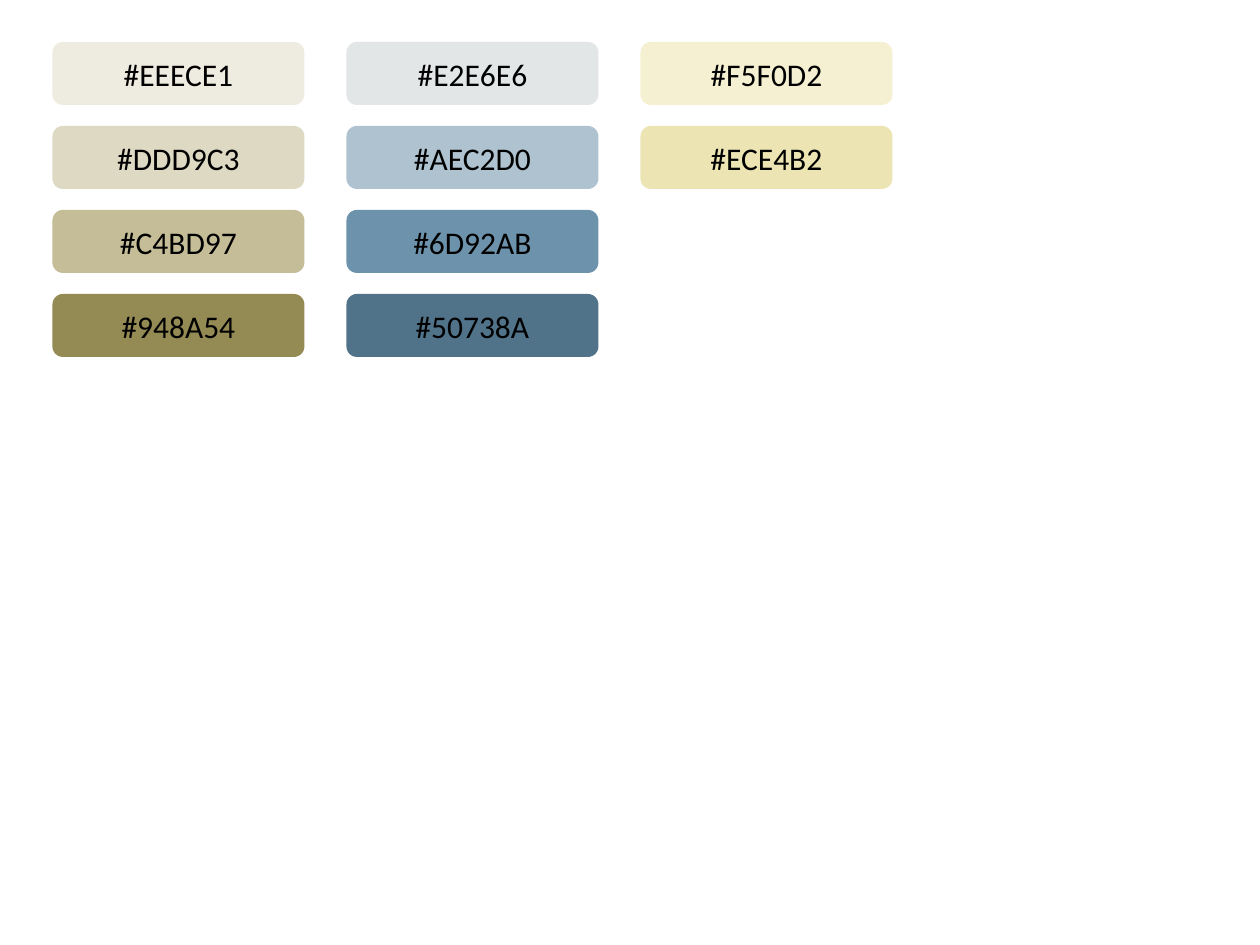
"""Build a colour palette slide with one labelled swatch per colour."""
import pptx
import pptx.dml.color
import pptx.enum.shapes
import pptx.enum.text
import pptx.util

Pt = pptx.util.Pt

PALETTE = [
    ["EEECE1", "DDD9C3", "C4BD97", "948A54"],
    ["E2E6E6", "AEC2D0", "6D92AB", "50738A"],
    ["F5F0D2", "ECE4B2"],
]
LEFT, TOP = 30, 24
WIDTH, HEIGHT = 144, 36
COLUMN_GAP, ROW_GAP = 24, 12
LABEL_FONT = {"name": "Calibri", "size": Pt(18)}


def set_color(color_format, hex_color):
    """Apply a hex colour to a fill or font colour."""
    color_format.rgb = pptx.dml.color.RGBColor.from_string(hex_color)


def add_swatch(slide, hex_color, column, row):
    """Add one rounded swatch at its grid position."""
    swatch = slide.shapes.add_shape(
        pptx.enum.shapes.MSO_SHAPE.ROUNDED_RECTANGLE,
        Pt(LEFT + column * (WIDTH + COLUMN_GAP)),
        Pt(TOP + row * (HEIGHT + ROW_GAP)),
        Pt(WIDTH),
        Pt(HEIGHT),
    )
    swatch.shadow.inherit = False
    swatch.fill.solid()
    set_color(swatch.fill.fore_color, hex_color)
    swatch.line.fill.background()
    swatch.text_frame.vertical_anchor = pptx.enum.text.MSO_ANCHOR.MIDDLE
    label = swatch.text_frame.paragraphs[0]
    label.alignment = pptx.enum.text.PP_ALIGN.CENTER
    code = label.add_run()
    code.text = f"#{hex_color}"
    for attribute, value in LABEL_FONT.items():
        setattr(code.font, attribute, value)
    set_color(code.font.color, "000000")


deck = pptx.Presentation()
deck.slide_width, deck.slide_height = Pt(720), Pt(540)
palette_slide = deck.slides.add_slide(deck.slide_layouts[6])
for column, shades in enumerate(PALETTE):
    for row, shade in enumerate(shades):
        add_swatch(palette_slide, shade, column, row)
deck.save("out.pptx")
